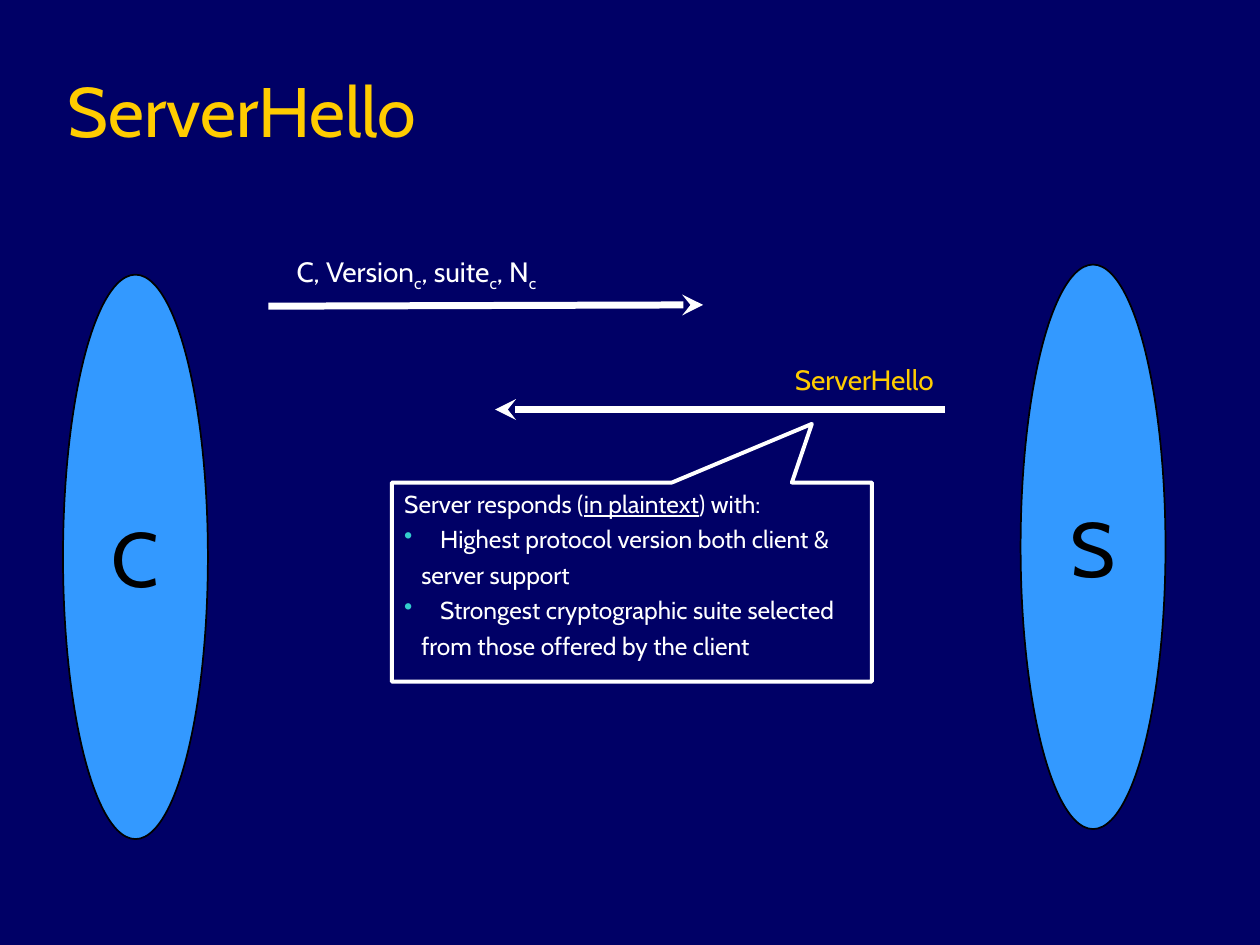
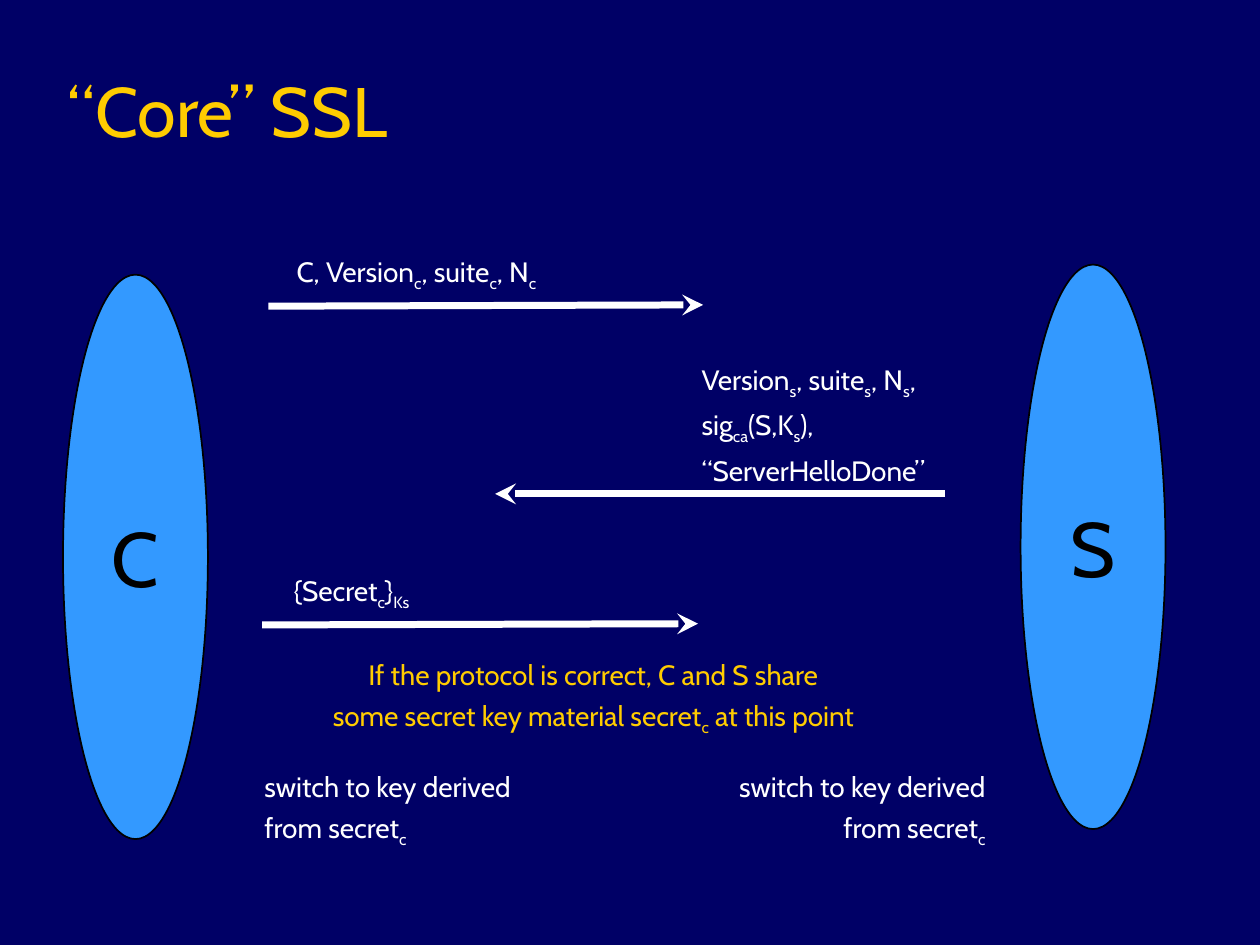
from lxml import etree
from pptx import Presentation
from pptx import util as u
from pptx.dml.color import RGBColor
from pptx.enum import shapes, text
from pptx.oxml import ns

COLORS = {"navy": "000066", "gold": "FFCC00", "white": "FFFFFF",
          "blue": "3399FF", "black": "000000", "teal": "33CCCC"}
FONT = "Cabin"
LEFT, CENTER, RIGHT = text.PP_ALIGN.LEFT, text.PP_ALIGN.CENTER, text.PP_ALIGN.RIGHT

presentation = Presentation()
presentation.slide_width, presentation.slide_height = u.Inches(10), u.Inches(7.5)
# The grid has 100 columns and 75 rows
COLUMN = presentation.slide_width / 100
ROW = presentation.slide_height / 75


def grid(left, top, *size):
    """Turn columns and rows into lengths on the slide."""
    return [round(value * unit) for value, unit in zip((left, top, *size), (COLUMN, ROW) * 2)]


def write(shape, lines, size, color, align=LEFT, before=4.0, mark="subscript"):
    """Write one paragraph a line; parts between underscores take the mark."""
    frame = shape.text_frame
    for index, line in enumerate(lines):
        paragraph = frame.paragraphs[0] if index == 0 else frame.add_paragraph()
        paragraph.alignment = align
        paragraph.space_before = u.Pt(before)
        paragraph.font.name, paragraph.font.size = FONT, u.Pt(size)
        paragraph.font.color.rgb = RGBColor.from_string(COLORS[color])
        for part_index, part in enumerate(line.split("_")):
            if not part:
                continue
            run = paragraph.add_run()
            run.text = part
            if part_index % 2 and mark == "underline":
                run.font.underline = True
            elif part_index % 2:
                run.font._element.set("baseline", "-25000")


# What each slide shows: arrows run from start to end,
# labels are (place, lines, colour, alignment)
ELLIPSES = [("C", 5, 21.8), ("S", 81, 21)]
HELLO_ARROW = ((21.3, 24.3), (55.8, 24.2))
HELLO_LABEL = ((21.4, 19.7, 23.3, 4.1), ["C, Version_c_, suite_c_, N_c_"], "white", CENTER)
SWITCH_LINES = ["switch to key derived", "from secret_c_"]
SLIDES = [
    ("ServerHello",
     [HELLO_ARROW, ((75, 32.5), (39.3, 32.5))],
     [HELLO_LABEL,
      ((62.1, 28.3, 14, 3.7), ["ServerHello"], "gold", LEFT)]),
    ("“Core” SSL",
     [HELLO_ARROW, ((75, 39.2), (39.3, 39.2)), ((20.8, 49.6), (55.4, 49.5))],
     [HELLO_LABEL,
      ((54.7, 28.3, 21.3, 10.9),
       ["Version_s_, suite_s_, N_s_,", "sig_ca_(S,K_s_),", "“ServerHelloDone”"],
       "white", LEFT),
      ((21.8, 45, 12.2, 4.1), ["{Secret_c_}_Ks_"], "white", CENTER),
      ((22.8, 51.7, 48.6, 7.3),
       ["If the protocol is correct, C and S share",
        "some secret key material secret_c_ at this point"], "gold", CENTER),
      ((20, 60.6, 23.9, 7.3), SWITCH_LINES, "white", LEFT),
      ((55.3, 60.6, 23.9, 7.3), SWITCH_LINES, "white", RIGHT)]),
]

for title, arrows, labels in SLIDES:
    slide = presentation.slides.add_slide(presentation.slide_layouts[6])
    slide.background.fill.solid()
    slide.background.fill.fore_color.rgb = RGBColor.from_string(COLORS["navy"])

    # Title
    title_box = slide.shapes.add_textbox(*grid(4.4, 2.5, 85, 10))
    title_box.text_frame.word_wrap = True
    title_box.text_frame.vertical_anchor = text.MSO_ANCHOR.BOTTOM
    write(title_box, [title], 40, "gold", before=0)

    # Client and server
    for name, left, top in ELLIPSES:
        ellipse = slide.shapes.add_shape(shapes.MSO_SHAPE.OVAL, *grid(left, top, 11.5, 44.8))
        ellipse.shadow.inherit = False
        ellipse.fill.solid()
        ellipse.fill.fore_color.rgb = RGBColor.from_string(COLORS["blue"])
        ellipse.line.color.rgb = RGBColor.from_string(COLORS["black"])
        ellipse.line.width = u.Pt(1)
        ellipse.text_frame.word_wrap = False
        ellipse.text_frame.vertical_anchor = text.MSO_ANCHOR.MIDDLE
        write(ellipse, [name], 44, "black", CENTER, before=11)

    # Message arrows
    for start, end in arrows:
        arrow = slide.shapes.add_connector(
            shapes.MSO_CONNECTOR.STRAIGHT, *grid(*start), *grid(*end))
        arrow.line.color.rgb = RGBColor.from_string(COLORS["white"])
        arrow.line.width = u.Pt(4)
        etree.SubElement(arrow.line._get_or_add_ln(), ns.qn("a:tailEnd"), type="stealth")
        etree.SubElement(arrow._element.spPr, ns.qn("a:effectLst"))

    # Message labels
    for place, lines, color, align in labels:
        label = slide.shapes.add_textbox(*grid(*place))
        label.text_frame.word_wrap = False
        label.text_frame.auto_size = text.MSO_AUTO_SIZE.SHAPE_TO_FIT_TEXT
        write(label, lines, 16, color, align)

# Callout on the first slide, pointing at the server's reply
callout = presentation.slides[0].shapes.add_shape(
    shapes.MSO_SHAPE.RECTANGULAR_CALLOUT, *grid(31.1, 38.3, 38.1, 15.8))
callout.adjustments[0], callout.adjustments[1] = 0.375, -0.795
callout.shadow.inherit = False
callout.fill.background()
callout.line.color.rgb = RGBColor.from_string(COLORS["white"])
callout.line.width = u.Pt(2.25)
callout.text_frame.word_wrap = True
callout.text_frame.vertical_anchor = text.MSO_ANCHOR.TOP
write(callout, ["Server responds (_in plaintext_) with:",
                "Highest protocol version both client &", "server support",
                "Strongest cryptographic suite selected", "from those offered by the client"],
      14, "white", before=3.5, mark="underline")

# Bulleted lines alternate with their indented second lines
for index, paragraph in enumerate(callout.text_frame.paragraphs[1:]):
    properties = paragraph._p.get_or_add_pPr()
    if index % 2:
        properties.set("marL", str(round(1.35 * COLUMN)))
        continue
    properties.set("marL", str(round(2.85 * COLUMN)))
    properties.set("indent", str(round(-2.85 * COLUMN)))
    bullet_color = etree.Element(ns.qn("a:buClr"))
    etree.SubElement(bullet_color, ns.qn("a:srgbClr"), val=COLORS["teal"])
    bullet = etree.Element(ns.qn("a:buChar"), char="•")
    for element in (bullet_color, bullet):
        properties.find(ns.qn("a:defRPr")).addprevious(element)

presentation.save("out.pptx")
